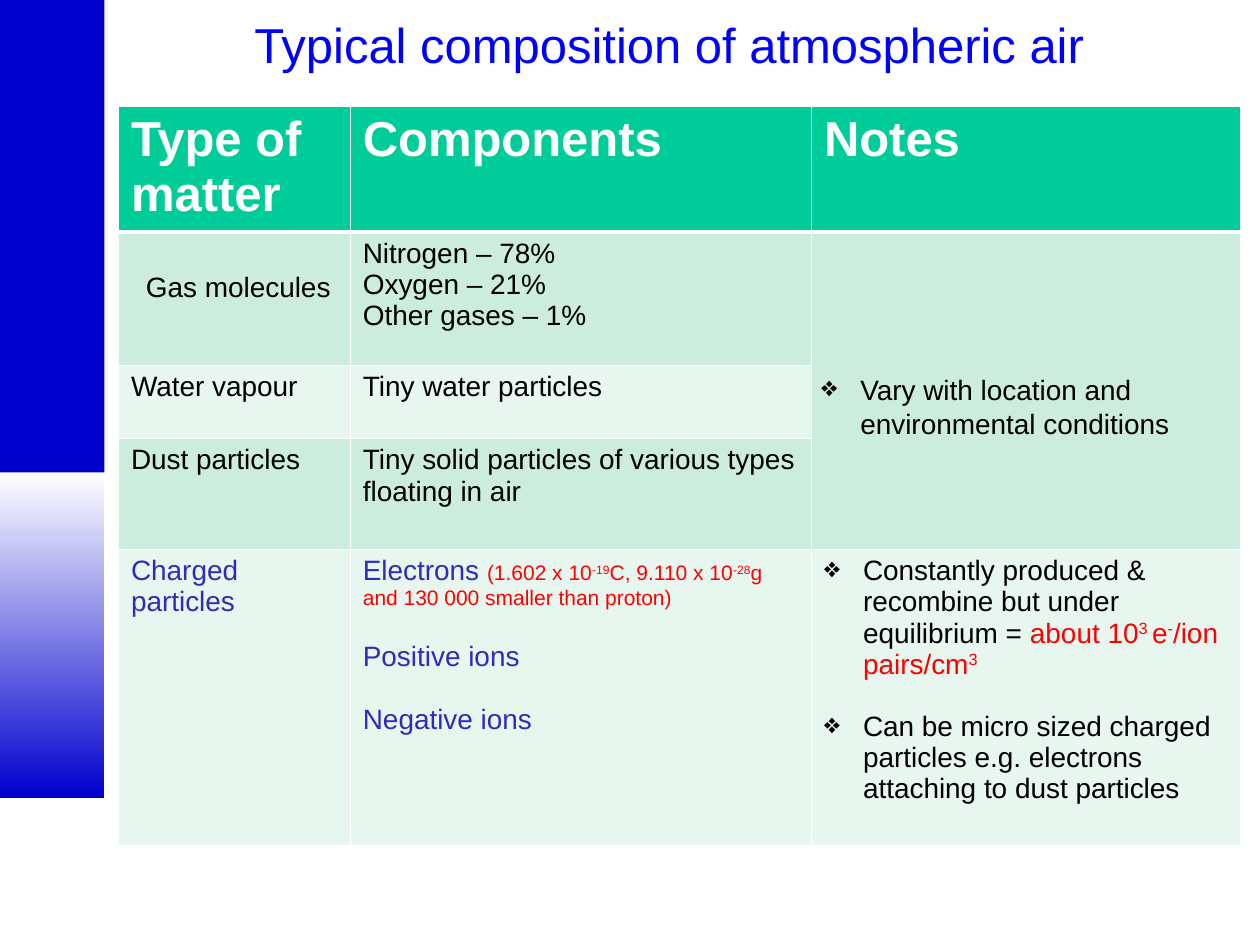
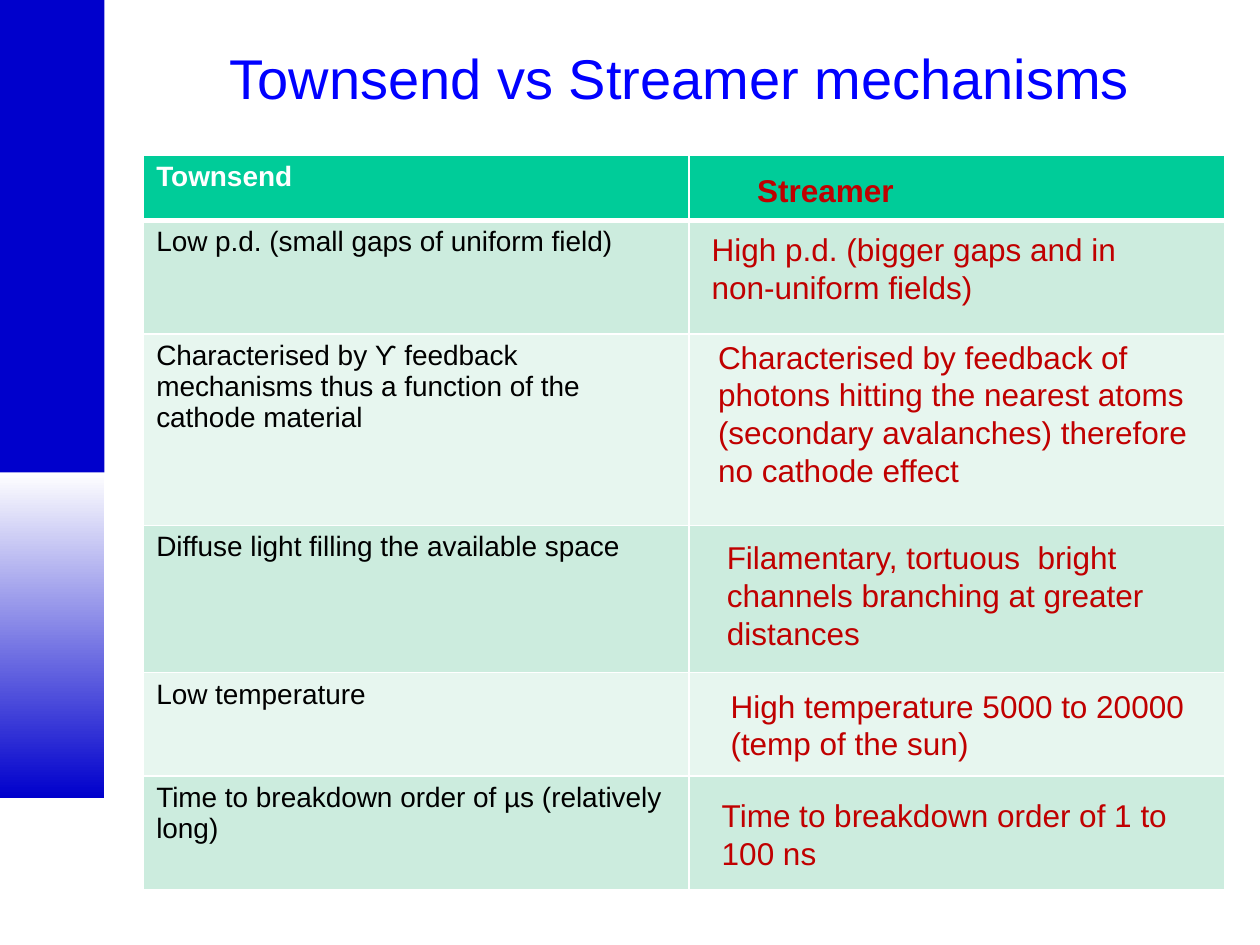
from pptx import Presentation
from pptx.dml.color import RGBColor
from pptx.enum import shapes, text
from pptx.oxml import parse_xml
from pptx.oxml.ns import nsdecls
from pptx.util import Inches, Pt

HUE = {"band": "0000CC", "title": "0000FF", "head": "00CC99", "odd": "CCECDE",
       "even": "E7F6EF", "white": "FFFFFF", "black": "000000", "ion": "2D2DB9",
       "red": "FF0000", "dark": "C00000"}
RGB = {name: RGBColor.from_string(code) for name, code in HUE.items()}


def write(frame, paras, size=16, hue="black", bold=False, mark="", gap=0):
    """Write paragraphs: strings, or lists of (words, hue, size); ^ marks superscript."""
    frame.word_wrap = True
    for i, para in enumerate(paras):
        p = frame.paragraphs[0] if i == 0 else frame.add_paragraph()
        if mark:
            prop = p._p.get_or_add_pPr()
            prop.set("marL", str(Inches(0.31)))
            prop.set("indent", str(-Inches(0.31)))
            prop.append(parse_xml(f'<a:buChar {nsdecls("a")} char="{mark}"/>'))
        if i and gap:
            p.space_before = Pt(gap)
        p.font.name, p.font.size, p.font.bold = "Arial", Pt(size), bold
        p.font.color.rgb = RGB[hue]
        parts = [(para, hue, size)] if isinstance(para, str) else para
        for words, tint, pts in parts:
            for j, piece in enumerate(words.split("^")):
                if not piece:
                    continue
                run = p.add_run()
                run.text = piece
                if tint != hue:
                    run.font.color.rgb = RGB[tint]
                if pts != size:
                    run.font.size = Pt(pts)
                if j % 2:
                    run._r.get_or_add_rPr().set("baseline", "30000")


def grid(slide, left, top, cols, rows):
    """Add a table with white rules, a green head and two-tone rows."""
    table = slide.shapes.add_table(len(rows), len(cols), Inches(left), Inches(top),
                                   Inches(sum(cols)), Inches(sum(rows))).table
    table.first_row = table.horz_banding = False
    for col, wide in zip(table.columns, cols):
        col.width = Inches(wide)
    for r, high in enumerate(rows):
        table.rows[r].height = Inches(high)
        for cell in table.rows[r].cells:
            thick = {"B": 3} if r == 0 else {"T": 3} if r == 1 else {}
            for side in "LRTB":
                cell._tc.get_or_add_tcPr().append(parse_xml(
                    f'<a:ln{side} {nsdecls("a")} w="{Pt(thick.get(side, 1))}"><a:solidFill>'
                    f'<a:srgbClr val="{HUE["white"]}"/></a:solidFill></a:ln{side}>'))
            cell.fill.solid()
            cell.fill.fore_color.rgb = RGB["head" if r == 0 else "odd" if r % 2 else "even"]
    return table


deck = Presentation()
deck.slide_width, deck.slide_height = Inches(10), Inches(7.5)

# Shared side bands and titles
heads = [("Typical composition of atmospheric air", 28, (0.78, 0, 9.06, 0.7)),
         ("Townsend vs Streamer mechanisms", 32, (0.91, 0.21, 8.97, 0.81))]
for words, size, place in heads:
    slide = deck.slides.add_slide(deck.slide_layouts[5])
    for top, high in [(3.75, 2.58), (0, 3.75)]:
        band = slide.shapes.add_shape(shapes.MSO_SHAPE.RECTANGLE, 0, Inches(top),
                                      Inches(0.83), Inches(high))
        band.shadow.inherit = False
        band.line.fill.background()
        if top:
            band.fill.gradient()
            band.fill.gradient_angle = 90
            for stop, name in zip(band.fill.gradient_stops, ("band", "white")):
                stop.color.rgb = RGB[name]
        else:
            band.fill.solid()
            band.fill.fore_color.rgb = RGB["band"]
    title = slide.shapes.title
    title.left, title.top, title.width, title.height = map(Inches, place)
    title.text_frame.vertical_anchor = text.MSO_ANCHOR.MIDDLE
    write(title.text_frame, [words], size, "title")
    title.text_frame.paragraphs[0].alignment = text.PP_ALIGN.CENTER
air, mech = deck.slides

# Air: composition table
table = grid(air, 0.94, 0.84, [1.84, 3.66, 3.41], [1, 1.06, 0.58, 0.88, 2.35])
table.cell(1, 2).merge(table.cell(3, 2))
for c, words in enumerate(["Type of matter", "Components", "Notes"]):
    write(table.cell(0, c).text_frame, [words], 28, "white", True)
matter = [("", ["Nitrogen – 78%", "Oxygen – 21%", "Other gases – 1%"]),
          ("Water vapour", ["Tiny water particles"]),
          ("Dust particles", ["Tiny solid particles of various types floating in air"])]
for r, (kind, parts) in enumerate(matter, 1):
    if kind:
        write(table.cell(r, 0).text_frame, [kind])
    write(table.cell(r, 1).text_frame, parts)

# Air: charged particles
write(table.cell(4, 0).text_frame, ["Charged particles"], hue="ion")
write(table.cell(4, 1).text_frame, [
    [("Electrons ", "ion", 16),
     ("(1.602 x 10^-19^C, 9.110 x 10^-28^g and 130 000 smaller than proton)", "red", 12)],
    "Positive ions", "Negative ions"], hue="ion", gap=18)
write(table.cell(4, 2).text_frame, [
    [("Constantly produced & recombine but under equilibrium = ", "black", 16),
     ("about 10^3 ^e^-^/ion pairs/cm^3", "red", 16)],
    "Can be micro sized charged particles e.g. electrons attaching to dust particles"],
    mark="❖", gap=18)

# Mechanisms: comparison table
table = grid(mech, 1.14, 1.23, [4.33, 4.25], [0.52, 0.9, 1.52, 1.17, 0.82, 0.9])
town = ["Townsend", "Low p.d. (small gaps of uniform field)",
        "Characterised by ϒ feedback mechanisms thus a function of the cathode material",
        "Diffuse light filling the available space", "Low temperature",
        "Time to breakdown order of µs (relatively long)"]
for r, words in enumerate(town):
    write(table.cell(r, 0).text_frame, [words], hue="black" if r else "white", bold=r == 0)

# Text laid over the tables
red = {"size": 18, "hue": "dark"}
notes = [
    (air, (1.06, 2.09, 2.05, 0.37), ["Gas molecules"], {}),
    (air, (6.42, 2.91, 3.07, 0.64), ["Vary with location and environmental conditions"],
     {"mark": "❖"}),
    (mech, (5.91, 1.31, 1.65, 0.4), ["Streamer"], {**red, "bold": True}),
    (mech, (5.55, 1.78, 3.86, 0.71), ["High p.d. (bigger gaps and in non-uniform fields)"], red),
    (mech, (5.6, 2.63, 4.02, 1.31),
     ["Characterised by feedback of photons hitting the nearest atoms "
      "(secondary avalanches) therefore no cathode effect"], red),
    (mech, (5.67, 4.22, 3.94, 1.01),
     ["Filamentary, tortuous  bright channels branching at greater distances"], red),
    (mech, (5.7, 5.4, 3.94, 0.71),
     ["High temperature 5000 to 20000", "(temp of the sun)"], red),
    (mech, (5.63, 6.27, 3.86, 0.71), ["Time to breakdown order of 1 to 100 ns"], red)]
for slide, place, paras, look in notes:
    write(slide.shapes.add_textbox(*map(Inches, place)).text_frame, paras, **look)

deck.save("out.pptx")
